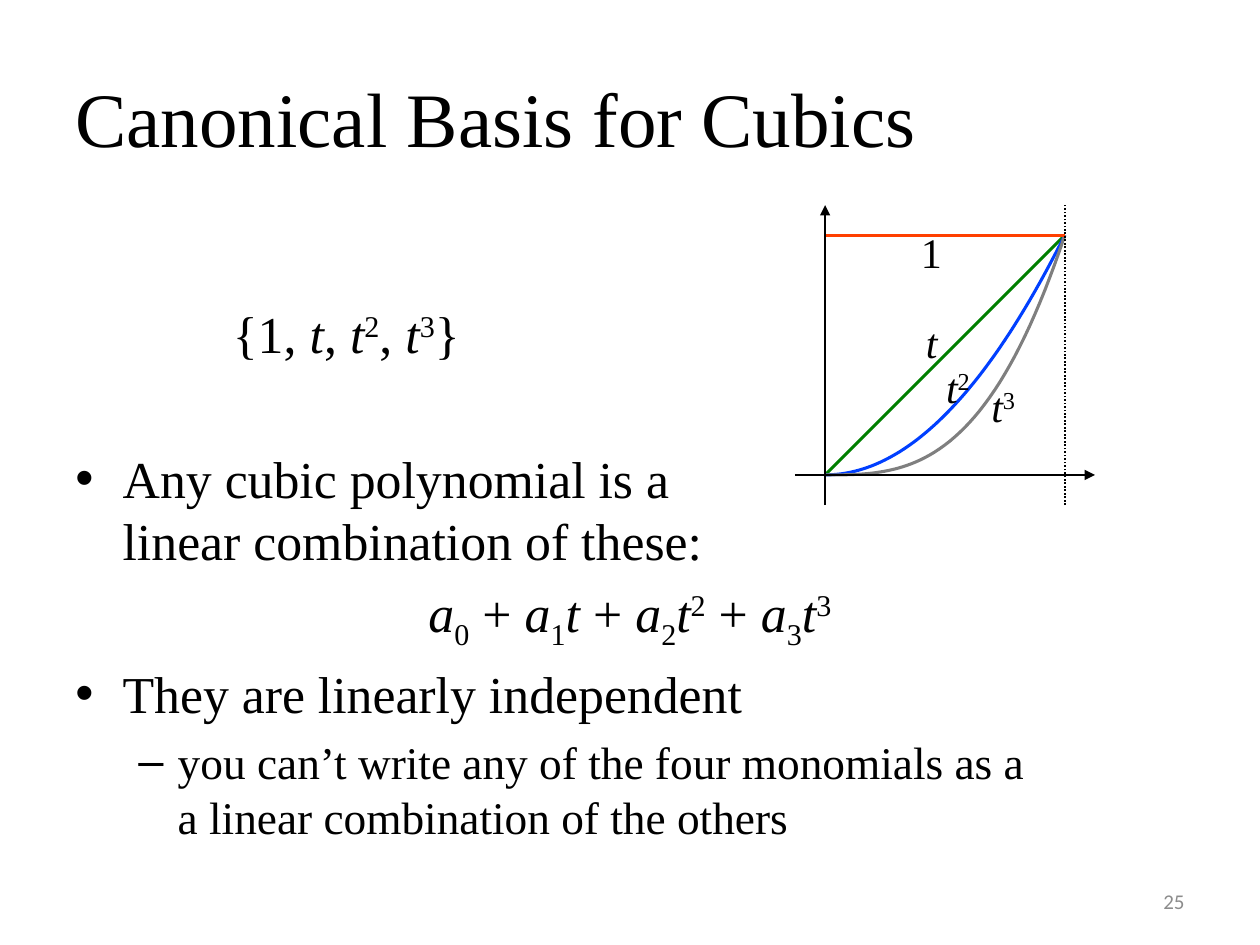
from lxml.etree import SubElement
from pptx import Presentation
from pptx.dml.color import RGBColor
from pptx.enum.dml import MSO_LINE
from pptx.enum.shapes import MSO_CONNECTOR
from pptx.enum.text import MSO_ANCHOR, PP_ALIGN
from pptx.oxml.ns import qn
from pptx.util import Pt

SERIF = "Times New Roman"
BLACK = "000000"
SHIFT = {"^": "30000", "_": "-25000"}


def color(code):
    return RGBColor.from_string(code)


class Deck:
    def __init__(self):
        self.file = Presentation()
        self.file.slide_width = Pt(720)
        self.file.slide_height = Pt(540)
        self.slide = self.file.slides.add_slide(self.file.slide_layouts[5])
        self.shapes = self.slide.shapes

    def place(self, shape, left, top, width, height):
        shape.left, shape.top = Pt(left), Pt(top)
        shape.width, shape.height = Pt(width), Pt(height)

    def style(self, para, size, face=SERIF, tint=BLACK):
        para.font.size = Pt(size)
        para.font.name = face
        para.font.color.rgb = color(tint)

    def title(self, text, *area):
        shape = self.shapes.title
        self.place(shape, *area)
        frame = shape.text_frame
        frame.text = text
        frame.vertical_anchor = MSO_ANCHOR.MIDDLE
        para = frame.paragraphs[0]
        para.alignment = PP_ALIGN.LEFT
        self.style(para, 44)

    def box(self, left, top, width, height, wrap=True):
        area = [Pt(n) for n in (left, top, width, height)]
        frame = self.shapes.add_textbox(*area).text_frame
        frame.word_wrap = wrap
        return frame

    def fill(self, para, text):
        for part in text.split("|"):
            if part == "\n":
                para.add_line_break()
                continue
            mark = part[0] if part[0] in "/^_" else ""
            run = para.add_run()
            run.text = part[len(mark):]
            if mark == "/":
                run.font.italic = True
            elif mark:
                run._r.get_or_add_rPr().set("baseline", SHIFT[mark])

    def item(self, para, text, size=29.6, line=35.4, gap=0, left=0, hang=0,
             mark=None, align=PP_ALIGN.LEFT):
        para.alignment = align
        para.line_spacing = Pt(line)
        para.space_before = Pt(gap)
        props = para._p.get_or_add_pPr()
        props.set("marL", str(Pt(left)))
        props.set("indent", str(Pt(-hang)))
        if mark:
            SubElement(props, qn("a:buFont")).set("typeface", "Arial")
            SubElement(props, qn("a:buChar")).set("char", mark)
        self.style(para, size)
        self.fill(para, text)

    def label(self, text, left, top, width):
        para = self.box(left, top, width, 36, False).paragraphs[0]
        self.style(para, 24)
        self.fill(para, text)

    def number(self, text, *area):
        frame = self.box(*area)
        frame.vertical_anchor = MSO_ANCHOR.MIDDLE
        para = frame.paragraphs[0]
        para.alignment = PP_ALIGN.RIGHT
        self.style(para, 12, "Calibri", "8C8C8C")
        self.fill(para, text)

    def curve(self, points, tint):
        spots = [(Pt(x), Pt(y)) for x, y in points]
        pen = self.shapes.build_freeform(*spots[0])
        pen.add_line_segments(spots[1:], close=False)
        shape = pen.convert_to_shape()
        shape.shadow.inherit = False
        shape.fill.background()
        shape.line.color.rgb = color(tint)
        shape.line.width = Pt(1.75)

    def axis(self, start, end, dotted=False):
        ends = [Pt(n) for n in (*start, *end)]
        line = self.shapes.add_connector(MSO_CONNECTOR.STRAIGHT, *ends)
        line.line.color.rgb = color(BLACK)
        line.line.width = Pt(1)
        if dotted:
            line.line.dash_style = MSO_LINE.ROUND_DOT
        else:
            tail = SubElement(line.line._get_or_add_ln(), qn("a:tailEnd"))
            tail.set("type", "triangle")
        SubElement(line._element.spPr, qn("a:effectLst"))


def main():
    deck = Deck()
    deck.title("Canonical Basis for Cubics", 36, 21.6, 648, 90)

    items = [
        dict(text="{1, |/t|, |/t|^2|, |/t|^3|}", left=90),
        dict(text="Any cubic polynomial is a|\n|linear combination of these:",
             gap=47.5, left=27, hang=27, mark="•"),
        dict(text="/a|_0| + |/a|_1|/t| + |/a|_2|/t|^2| + |/a|_3|/t|^3",
             line=40, gap=6, align=PP_ALIGN.CENTER),
        dict(text="They are linearly independent",
             gap=6, left=27, hang=27, mark="•"),
        dict(text="you can’t write any of the four monomials as a|\n|"
                  "a linear combination of the others",
             size=25.9, line=31.4, gap=5.4, left=58.5, hang=22.5, mark="–"),
    ]
    body = deck.box(36, 169, 648, 313.4)
    for i, item in enumerate(items):
        para = body.add_paragraph() if i else body.paragraphs[0]
        deck.item(para, **item)

    deck.number("25", 516, 500.5, 168, 28.75)

    left, base, side, over = 471.5, 271.4, 137, 17.2
    right, steps = left + side, 48
    tints = {1: "007F00", 2: "003FFF", 3: "7F7F7F", 0: "FF3F00"}
    for power, tint in tints.items():
        times = [n / steps for n in range(steps + 1)]
        points = [(left + side * t, base - side * t ** power) for t in times]
        deck.curve(points, tint)

    low, high = base + over, base - side - over
    deck.axis((left - over, base), (right + over, base))
    deck.axis((left, low), (left, high))
    deck.axis((right, low), (right, high), dotted=True)

    deck.label("1", 519.1, 126, 26.6)
    deck.label("/t", 522, 177.1, 20.9)
    deck.label("/t|^2", 533.5, 203, 29.5)
    deck.label("/t|^3", 559.4, 213.8, 29.5)
    deck.file.save("out.pptx")


if __name__ == "__main__":
    main()
